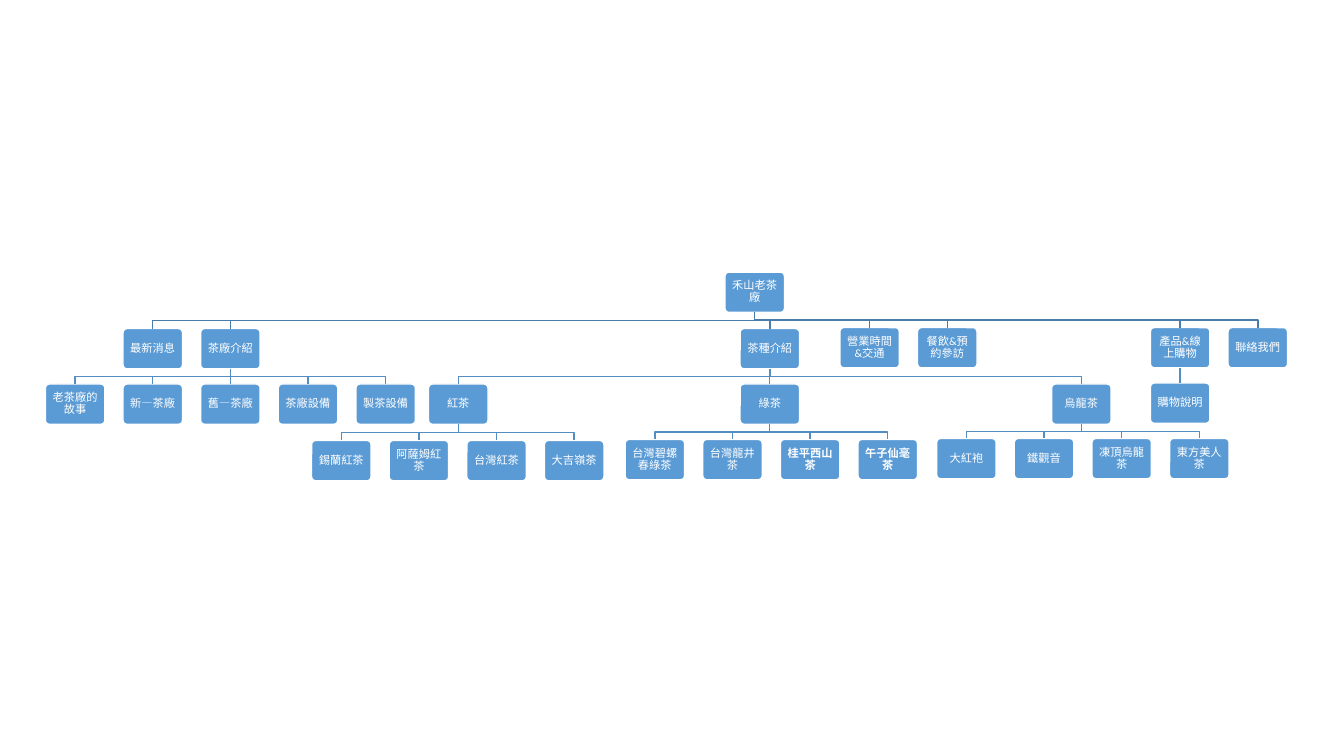
from lxml.etree import SubElement
from pptx import Presentation
from pptx.dml.color import RGBColor
from pptx.enum.shapes import MSO_CONNECTOR, MSO_SHAPE
from pptx.enum.text import MSO_ANCHOR, PP_ALIGN
from pptx.oxml.ns import qn
from pptx.util import Inches, Pt

COLORS = {
    "box": "5B9BD5",
    "white": "FFFFFF",
    "root_line": "497CAB",
    "branch_line": "538DC1",
}
FONT = "Calibri"
BOX_W, BOX_H = Inches(0.59), Inches(0.4)
PITCH = 0.77

ROOT = "禾山老茶廠"
BOLD = {"桂平西山茶", "午子仙毫茶"}

# Sibling rows: parent, left of first box, top, pitch, names
ROWS = [
    (ROOT, 1.22, 3.26, PITCH, ["最新消息", "茶廠介紹"]),
    (ROOT, 7.34, 3.26, PITCH, ["茶種介紹"]),
    (ROOT, 8.33, 3.25, PITCH, ["營業時間&交通", "餐飲&預約參訪"]),
    (ROOT, 11.41, 3.25, PITCH, ["產品&線上購物", "聯絡我們"]),
    ("茶廠介紹", 0.45, 3.81, PITCH,
     ["老茶廠的故事", "新—茶廠", "舊—茶廠", "茶廠設備", "製茶設備"]),
    ("茶種介紹", 4.25, 3.81, 3.09, ["紅茶", "綠茶", "烏龍茶"]),
    ("產品&線上購物", 11.41, 3.8, PITCH, ["購物說明"]),
    ("紅茶", 3.09, 4.37, PITCH, ["錫蘭紅茶", "阿薩姆紅茶", "台灣紅茶", "大吉嶺茶"]),
    ("綠茶", 6.2, 4.36, PITCH, ["台灣碧螺春綠茶", "台灣龍井茶", "桂平西山茶", "午子仙毫茶"]),
    ("烏龍茶", 9.29, 4.35, PITCH, ["大紅袍", "鐵觀音", "凍頂烏龍茶", "東方美人茶"]),
]


def rgb(name):
    return RGBColor.from_string(COLORS[name])


def set_line(shape, color):
    shape.line.color.rgb = rgb(color)
    shape.line.width = Pt(1)


def add_box(slide, name, left, top):
    sp = slide.shapes.add_shape(MSO_SHAPE.ROUNDED_RECTANGLE,
                                Inches(left), Inches(top), BOX_W, BOX_H)
    sp.adjustments[0] = 0.1
    sp.shadow.inherit = False
    sp.fill.solid()
    sp.fill.fore_color.rgb = rgb("box")
    set_line(sp, "white")

    tf = sp.text_frame
    tf.word_wrap = True
    tf.vertical_anchor = MSO_ANCHOR.MIDDLE
    tf.margin_left = tf.margin_right = Inches(0.03)
    tf.margin_top = tf.margin_bottom = Inches(0.03)
    p = tf.paragraphs[0]
    p.alignment = PP_ALIGN.CENTER
    p.line_spacing = 0.9
    r = p.add_run()
    r.text = name
    r.font.name = FONT
    r.font.size = Pt(8)
    r.font.bold = name in BOLD
    r.font.color.rgb = rgb("white")
    return sp


def add_straight(slide, parent, child, color):
    line = slide.shapes.add_connector(MSO_CONNECTOR.STRAIGHT, 0, 0, 0, 0)
    line.begin_connect(parent, 2)
    line.end_connect(child, 0)
    set_line(line, color)
    SubElement(line._element.spPr, qn("a:effectLst"))


def add_elbow(slide, parent, child, color):
    x1, y1 = parent.left + BOX_W // 2, parent.top + BOX_H
    x2, y2 = child.left + BOX_W // 2, child.top
    middle = (y1 + y2) // 2
    builder = slide.shapes.build_freeform(x1, y1)
    builder.add_line_segments([(x1, middle), (x2, middle), (x2, y2)], close=False)
    sp = builder.convert_to_shape()
    sp.shadow.inherit = False
    sp.fill.background()
    set_line(sp, color)


def add_link(slide, parent, child, color):
    aligned = abs(parent.left - child.left) < Inches(0.02)
    draw = add_straight if aligned else add_elbow
    draw(slide, parent, child, color)


def main():
    prs = Presentation()
    prs.slide_width, prs.slide_height = Inches(13.33), Inches(7.5)
    s = prs.slides.add_slide(prs.slide_layouts[6])

    # Site map, from the root down
    boxes = {ROOT: add_box(s, ROOT, 7.19, 2.7)}
    for parent, left, top, pitch, names in ROWS:
        color = "root_line" if parent == ROOT else "branch_line"
        for i, name in enumerate(names):
            boxes[name] = add_box(s, name, left + i * pitch, top)
            add_link(s, boxes[parent], boxes[name], color)

    prs.save("out.pptx")


if __name__ == "__main__":
    main()
